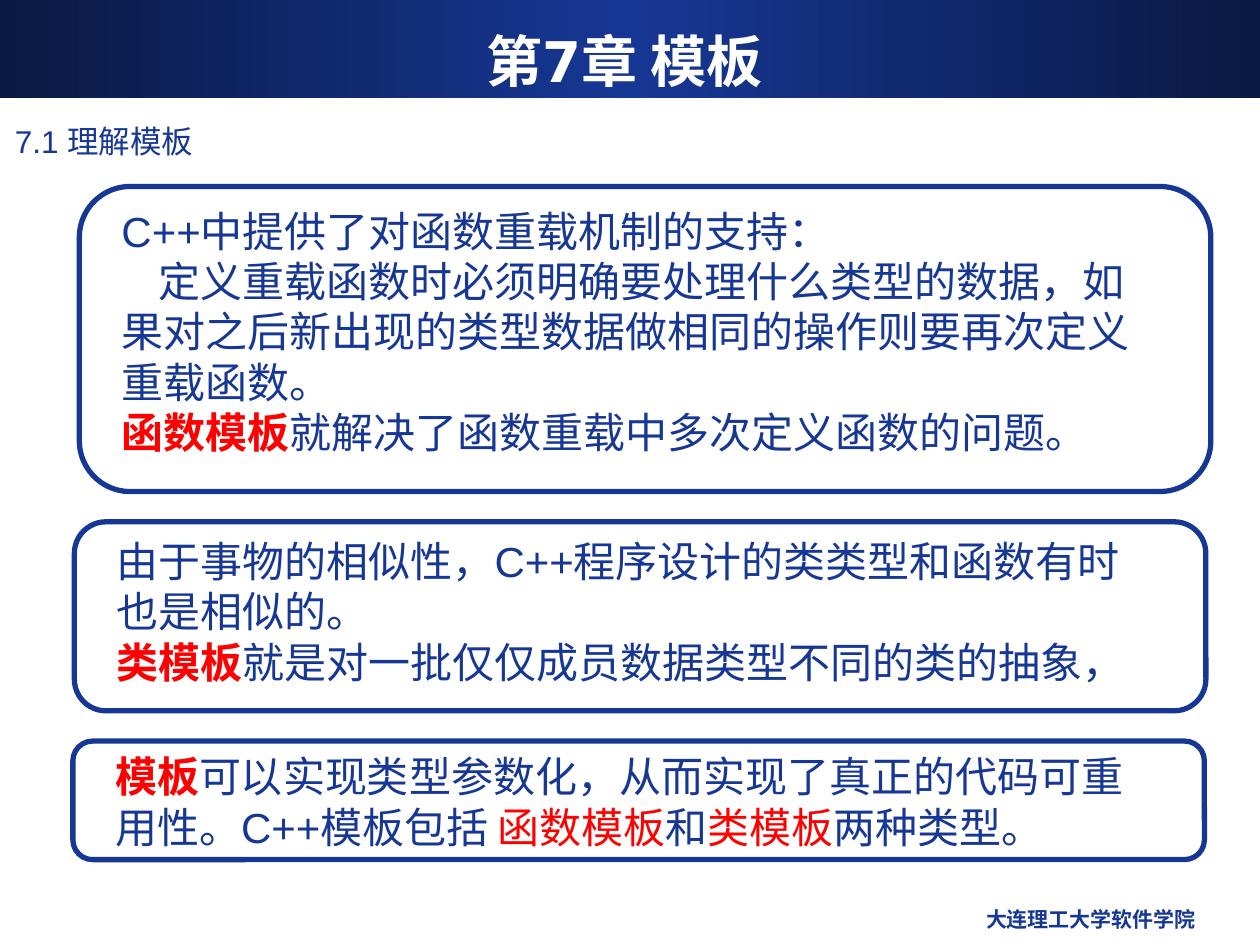
from copy import deepcopy

from pptx import Presentation
from pptx.dml.color import RGBColor
from pptx.enum.shapes import MSO_SHAPE as Shape
from pptx.enum.text import MSO_ANCHOR as Anchor, PP_ALIGN as Align
from pptx.oxml.ns import qn
from pptx.util import Cm, Pt

NAVY = RGBColor(0x0A, 0x19, 0x44)
BLUE = RGBColor(0x16, 0x37, 0x94)
RED = RGBColor(0xFF, 0x00, 0x00)
WHITE = RGBColor(0xFF, 0xFF, 0xFF)


class SlideWriter:
    body_font = "Arial"
    title_font = "DejaVu Sans"
    body_size = 24
    panel_width = 22.81
    panel_text_width = 21.23
    panel_text_offset = 0.6
    first_line_indent = 0.75

    def __init__(self, slide):
        self.slide = slide

    def banner(self, width, height):
        bar = self.slide.shapes.add_shape(
            Shape.RECTANGLE, 0, 0, Cm(width), Cm(height))
        bar.shadow.inherit = False
        bar.line.fill.background()
        bar.fill.gradient()
        bar.fill.gradient_angle = 0
        stop_list = bar.element.spPr.find(".//" + qn("a:gsLst"))
        stop_list.insert(1, deepcopy(stop_list[0]))
        colors = (NAVY, BLUE, NAVY)
        for stop, color, position in zip(bar.fill.gradient_stops, colors, (0, 0.5, 1)):
            stop.color.rgb = color
            stop.position = position

    def add_run(self, para, text, size, color=BLUE, bold=False, font=body_font):
        span = para.add_run()
        span.text = text
        span.font.name = font
        span.font.size = Pt(size)
        span.font.bold = bold
        span.font.color.rgb = color

    def text_box(self, shapes, left, top, width, height):
        box = shapes.add_textbox(Cm(left), Cm(top), Cm(width), Cm(height))
        box.text_frame.word_wrap = True
        return box.text_frame

    def label(self, area, text, size, align=Align.LEFT, anchor=Anchor.TOP, **style):
        """Place one line of text in area (left, top, width, height)."""
        frame = self.text_box(self.slide.shapes, *area)
        frame.vertical_anchor = anchor
        para = frame.paragraphs[0]
        para.alignment = align
        self.add_run(para, text, size, **style)

    def panel(self, left, top, height, text_top, text_height, paragraphs):
        """Group a rounded frame with its text.

        Each paragraph is (indented, runs); a run is (text, color, bold).
        """
        group = self.slide.shapes.add_group_shape()
        outline = group.shapes.add_shape(
            Shape.ROUNDED_RECTANGLE,
            Cm(left), Cm(top), Cm(self.panel_width), Cm(height))
        outline.shadow.inherit = False
        outline.fill.background()
        outline.line.color.rgb = BLUE
        outline.line.width = Pt(3)

        frame = self.text_box(group.shapes, left + self.panel_text_offset,
                              text_top, self.panel_text_width, text_height)
        for index, (indented, runs) in enumerate(paragraphs):
            para = frame.add_paragraph() if index else frame.paragraphs[0]
            if indented:
                properties = para._p.get_or_add_pPr()
                properties.set("indent", str(Cm(self.first_line_indent)))
            for text, color, bold in runs:
                self.add_run(para, text, self.body_size, color, bold)


def main():
    deck = Presentation()
    deck.slide_width, deck.slide_height = Cm(25.4), Cm(19.05)
    page = SlideWriter(deck.slides.add_slide(deck.slide_layouts[6]))

    page.banner(25.4, 1.98)
    page.label((16.31, 18.16, 8.05, 0.89), "大连理工大学软件学院", 12,
               align=Align.RIGHT, bold=True)
    page.label((0.05, 2.34, 23.5, 1.04), "7.1 理解模板", 18)
    page.label((0.84, 0.43, 23.5, 1.57), "第7章 模板", 32,
               align=Align.CENTER, anchor=Anchor.MIDDLE,
               color=WHITE, bold=True, font=page.title_font)

    page.panel(1.6, 3.76, 6.15, 4.01, 5.33, [
        (False, [("C++中提供了对函数重载机制的支持：", BLUE, False)]),
        (True, [("定义重载函数时必须明确要处理什么类型的数据，如果对之后新出现的"
                 "类型数据做相同的操作则要再次定义重载函数。", BLUE, False)]),
        (False, [("函数模板", RED, True),
                 ("就解决了函数重载中多次定义函数的问题。", BLUE, False)]),
    ])
    page.panel(1.5, 10.52, 3.81, 10.67, 3.3, [
        (False, [("由于事物的相似性，C++程序设计的类类型和函数有时也是相似的。",
                  BLUE, False)]),
        (False, [("类模板", RED, True),
                 ("就是对一批仅仅成员数据类型不同的类的抽象，", BLUE, False)]),
    ])
    page.panel(1.47, 14.94, 2.39, 15.01, 2.29, [
        (False, [("模板", RED, True),
                 ("可以实现类型参数化，从而实现了真正的代码可重用性。C++模板包括 ",
                  BLUE, False),
                 ("函数模板", RED, False),
                 ("和", BLUE, False),
                 ("类模板", RED, False),
                 ("两种类型。", BLUE, False)]),
    ])

    deck.save("out.pptx")


if __name__ == "__main__":
    main()
